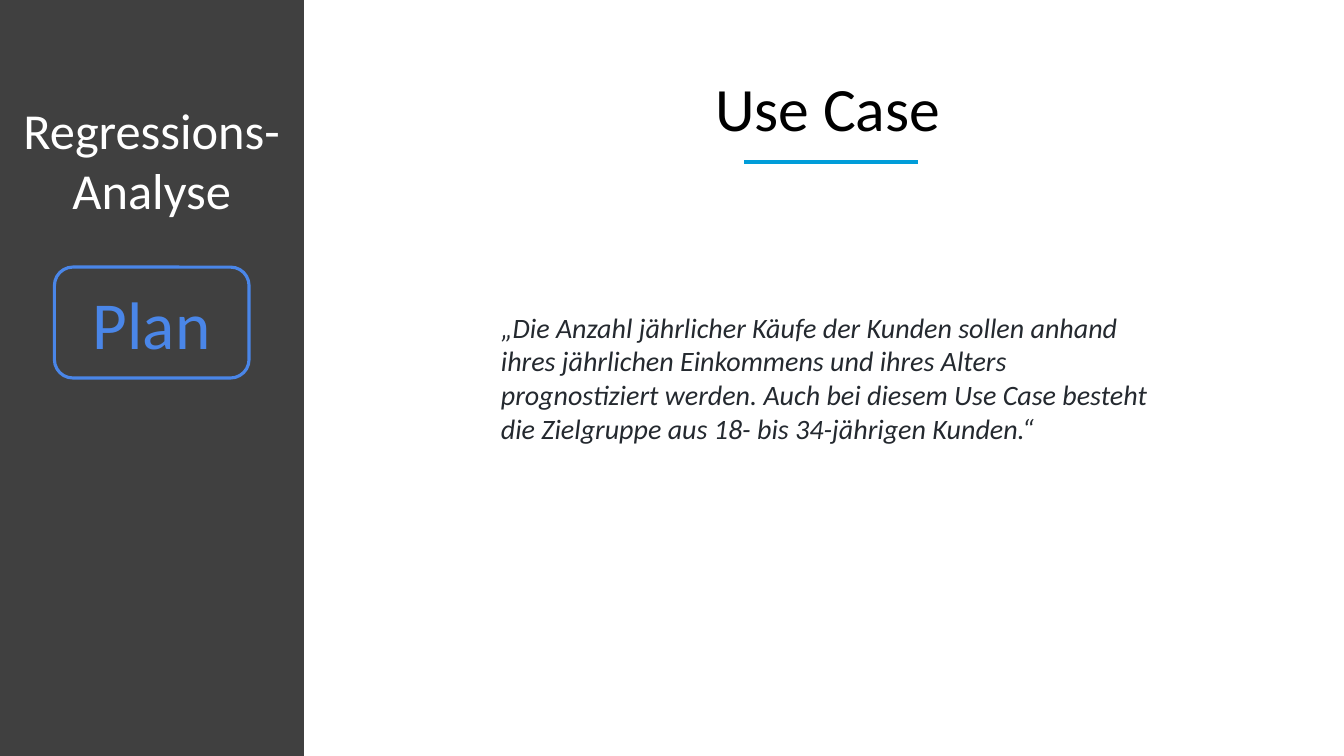
from pptx import Presentation
from pptx import util as u
from pptx.dml.color import RGBColor
from pptx.enum import shapes, text
from pptx.oxml.ns import qn
from lxml import etree

DARK_GREY = RGBColor(0x40, 0x40, 0x40)
WHITE = RGBColor(0xFF, 0xFF, 0xFF)
BLACK = RGBColor(0x00, 0x00, 0x00)
PLAN_BLUE = RGBColor(0x4A, 0x86, 0xE8)
ACCENT_BLUE = RGBColor(0x00, 0x9D, 0xD9)
INK = RGBColor(0x24, 0x29, 0x2F)

presentation = Presentation()
presentation.slide_width = u.Inches(13.33)
presentation.slide_height = u.Inches(7.5)
slide = presentation.slides.add_slide(presentation.slide_layouts[6])


def area(left, top, width, height):
    column = presentation.slide_width / 100
    row = presentation.slide_height / 100
    return [round(left * column), round(top * row), round(width * column), round(height * row)]


def write(shape, wording, size, color, alignment=text.PP_ALIGN.CENTER, italic=False):
    shape.text_frame.word_wrap = True
    paragraph = shape.text_frame.paragraphs[0]
    paragraph.alignment = alignment
    run = paragraph.add_run()
    run.text = wording
    run.font.name = "Calibri"
    run.font.size = u.Pt(size)
    run.font.color.rgb = color
    run.font.italic = italic


sidebar_width = 22.58
sidebar = slide.shapes.add_shape(shapes.MSO_SHAPE.RECTANGLE, *area(0, 0, sidebar_width, 100))
sidebar.shadow.inherit = False
sidebar.fill.solid()
sidebar.fill.fore_color.rgb = DARK_GREY
sidebar.line.color.rgb = DARK_GREY
sidebar.line.width = u.Pt(1.1)

topic = slide.shapes.add_textbox(*area(0, 12.4, sidebar_width, 17.47))
write(topic, "Regressions-Analyse", 36, WHITE)

plan_width = 14.48
plan = slide.shapes.add_shape(
    shapes.MSO_SHAPE.ROUNDED_RECTANGLE,
    *area((sidebar_width - plan_width) / 2, 35.33, plan_width, 14.67),
)
plan.shadow.inherit = False
plan.fill.background()
plan.line.color.rgb = PLAN_BLUE
plan.line.width = u.Pt(2.25)
plan.text_frame.vertical_anchor = text.MSO_ANCHOR.MIDDLE
write(plan, "Plan", 48, PLAN_BLUE)

title = slide.shapes.add_textbox(*area(40.51, 8.53, 42.16, 11.2))
write(title, "Use Case", 44, BLACK)

underline = slide.shapes.add_connector(
    shapes.MSO_CONNECTOR.STRAIGHT, *area(55.36, 21.47, 68.27, 21.47)
)
underline.line.color.rgb = ACCENT_BLUE
underline.line.width = u.Pt(3)
etree.SubElement(underline.element.spPr, qn("a:effectLst"))

use_case = slide.shapes.add_textbox(*area(36.53, 40.4, 50.56, 19.33))
write(
    use_case,
    "„Die Anzahl jährlicher Käufe der Kunden sollen anhand ihres jährlichen Einkommens "
    "und ihres Alters prognostiziert werden. Auch bei diesem Use Case besteht die "
    "Zielgruppe aus 18- bis 34-jährigen Kunden.“",
    20,
    INK,
    text.PP_ALIGN.LEFT,
    italic=True,
)

presentation.save("out.pptx")
